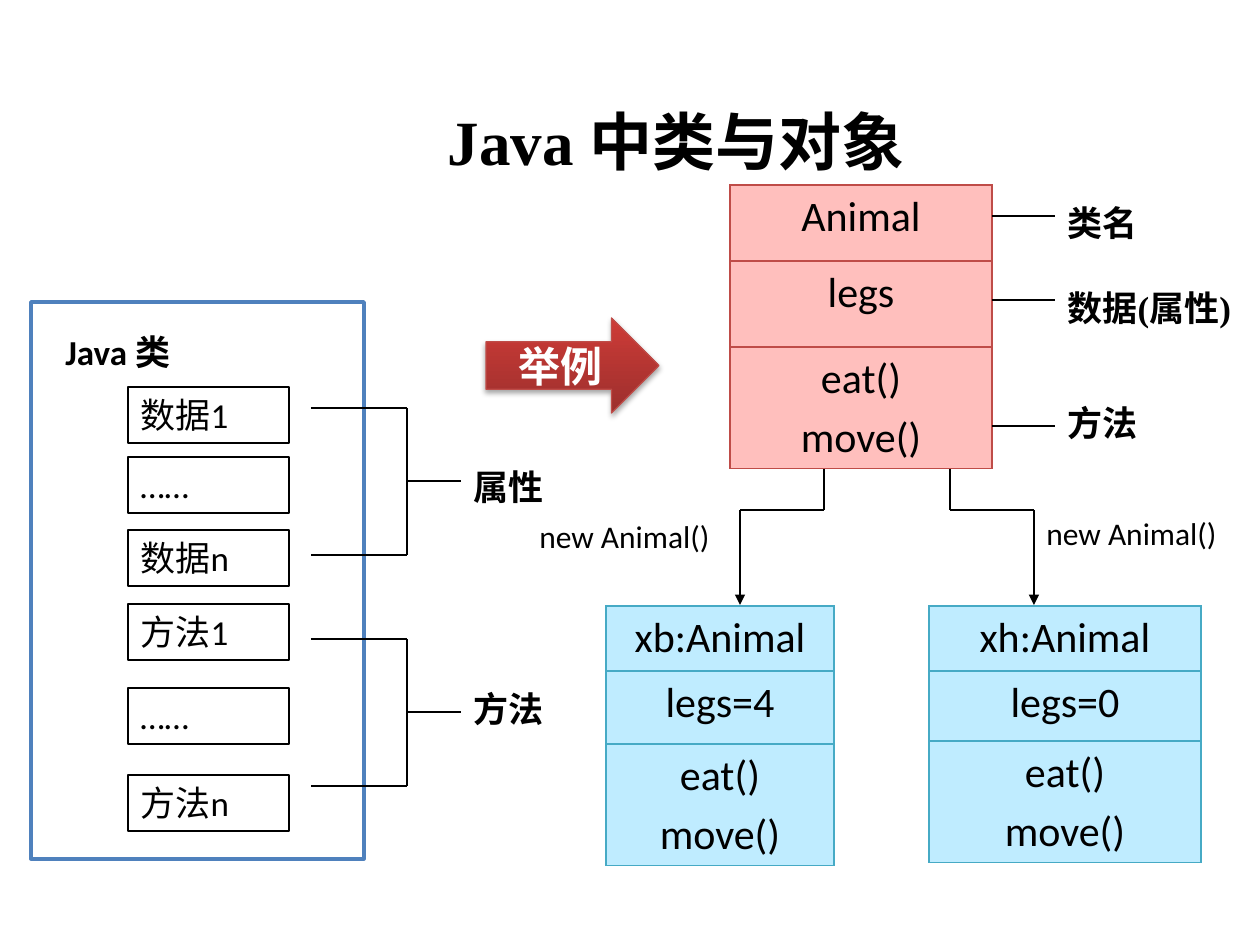
import pptx
import pptx.dml.color
import pptx.enum.shapes
import pptx.enum.text
import pptx.oxml
import pptx.oxml.ns
import pptx.util

PX = 7257  # EMU per px, 126 px to the inch
COLORS = {
    "black": "000000", "white": "FFFFFF", "frame": "4F81BD",
    "pink": "FFBFBD", "red": "BF4C48", "dark_red": "9C2F2D", "bright_red": "CE3B37",
    "sky": "BFECFF", "teal": "46AAC5",
}
RGB = {name: pptx.dml.color.RGBColor.from_string(value) for name, value in COLORS.items()}
SHAPES = pptx.enum.shapes.MSO_SHAPE
ALIGN = pptx.enum.text.PP_ALIGN
ANCHOR = pptx.enum.text.MSO_ANCHOR
A_NS = pptx.oxml.ns.nsdecls("a")


def write_text(frame, text, size=20, font="Calibri", bold=False, color="black",
               align=ALIGN.LEFT, anchor=ANCHOR.TOP):
    frame.word_wrap = True
    frame.vertical_anchor = anchor
    for index, line in enumerate(text.split("\n")):
        paragraph = frame.add_paragraph() if index else frame.paragraphs[0]
        paragraph.alignment = align
        if index:
            paragraph.space_before = pptx.util.Pt(size * 0.2)
        run = paragraph.add_run()
        run.text = line
        run.font.size = pptx.util.Pt(size)
        run.font.name = font
        run.font.bold = bold
        run.font.color.rgb = RGB[color]


def add_path(points, arrow=False):
    """Draw straight connectors through the points, the last with an optional arrowhead."""
    for start, end in zip(points, points[1:]):
        connector = slide.shapes.add_connector(
            pptx.enum.shapes.MSO_CONNECTOR.STRAIGHT, *[PX * v for v in start + end])
        connector.line.color.rgb = RGB["black"]
        connector.line.width = pptx.util.Pt(0.75)
        if arrow and end == points[-1]:
            connector.line._get_or_add_ln().append(
                pptx.oxml.parse_xml(f'<a:tailEnd {A_NS} type="triangle"/>'))
        connector._element.spPr.append(pptx.oxml.parse_xml(f"<a:effectLst {A_NS}/>"))


presentation = pptx.Presentation()
presentation.slide_width = pptx.util.Inches(10)
presentation.slide_height = pptx.util.Inches(7.5)
slide = presentation.slides.add_slide(presentation.slide_layouts[5])

title = slide.shapes.title
title.left, title.top, title.width, title.height = [PX * v for v in (435, 96, 490, 89)]
write_text(title.text_frame, "Java 中类与对象", size=36, font="Times New Roman", bold=True)

# Class frame and its members
class_frame = slide.shapes.add_shape(SHAPES.RECTANGLE, *[PX * v for v in (31, 302, 333, 557)])
class_frame.shadow.inherit = False
class_frame.fill.solid()
class_frame.fill.fore_color.rgb = RGB["white"]
class_frame.line.color.rgb = RGB["frame"]
class_frame.line.width = pptx.util.Pt(2)

members = [("数据1", 387), ("……", 457), ("数据n", 530),
           ("方法1", 604), ("……", 688), ("方法n", 775)]
for text, top in members:
    member = slide.shapes.add_shape(SHAPES.RECTANGLE, *[PX * v for v in (128, top, 161, 56)])
    member.shadow.inherit = False
    member.fill.background()
    member.line.color.rgb = RGB["black"]
    member.line.width = pptx.util.Pt(0.75)
    write_text(member.text_frame, text)

# Brackets that group the members
for top, bottom in [(408, 555), (639, 786)]:
    middle = (top + bottom) // 2
    add_path([(311, top), (407, top), (407, bottom), (311, bottom)])
    add_path([(407, middle), (461, middle)])

# Labels: text, left, top, width, format
bold_calibri = {"bold": True}
bold_times = {"bold": True, "font": "Times New Roman"}
labels = [
    ("Java 类", 53, 324, 237, bold_calibri),
    ("属性", 461, 459, 129, bold_calibri),
    ("方法", 461, 681, 107, bold_calibri),
    ("类名", 1055, 195, 105, bold_times),
    ("数据(属性)", 1055, 280, 210, bold_times),
    ("方法", 1055, 395, 158, bold_times),
    ("new Animal()", 527, 511, 231, {"size": 18}),
    ("new Animal()", 1034, 508, 231, {"size": 18}),
]
for text, left, top, width, style in labels:
    label = slide.shapes.add_textbox(*[PX * v for v in (left, top, width, 54)])
    write_text(label.text_frame, text, **style)

# Class table and object tables: left, top, width, row heights, rows, fill, border
tables = [
    (730, 185, 262, (76, 86, 121), ("Animal", "legs", "eat()\nmove()"), "pink", "red"),
    (606, 606, 228, (65, 73, 121), ("xb:Animal", "legs=4", "eat()\nmove()"), "sky", "teal"),
    (929, 606, 272, (65, 70, 121), ("xh:Animal", "legs=0", "eat()\nmove()"), "sky", "teal"),
]
for left, top, width, heights, texts, fill, border in tables:
    table = slide.shapes.add_table(
        len(texts), 1, *[PX * v for v in (left, top, width, sum(heights))]).table
    table.first_row = False
    table.horz_banding = False
    for row, height, text in zip(table.rows, heights, texts):
        row.height = PX * height
        cell = row.cells[0]
        write_text(cell.text_frame, text, size=24, align=ALIGN.CENTER)
        properties = cell._tc.get_or_add_tcPr()
        for side in ("lnL", "lnR", "lnT", "lnB"):
            properties.append(pptx.oxml.parse_xml(
                f'<a:{side} {A_NS} w="9525"><a:solidFill>'
                f'<a:srgbClr val="{COLORS[border]}"/></a:solidFill></a:{side}>'))
        cell.fill.solid()
        cell.fill.fore_color.rgb = RGB[fill]

# Pointers to the labels, and arrows from the class to its objects
for y in (216, 300, 426):
    add_path([(992, y), (1055, y)])
for start, end in [(824, 740), (950, 1034)]:
    add_path([(start, 469), (start, 510), (end, 510), (end, 605)], arrow=True)

example = slide.shapes.add_shape(SHAPES.RIGHT_ARROW, *[PX * v for v in (486, 318, 173, 95)])
example.fill.gradient()
example.fill.gradient_angle = 90
for stop, color in zip(example.fill.gradient_stops, ("dark_red", "bright_red")):
    stop.color.rgb = RGB[color]
example.line.color.rgb = RGB["red"]
example.line.width = pptx.util.Pt(0.75)
example._element.spPr.append(pptx.oxml.parse_xml(
    f'<a:effectLst {A_NS}><a:outerShdw blurRad="40000" dist="23000" dir="5400000" '
    'rotWithShape="0"><a:srgbClr val="000000"><a:alpha val="35000"/></a:srgbClr>'
    '</a:outerShdw></a:effectLst>'))
write_text(example.text_frame, "举例", size=24, font="Times New Roman", bold=True,
           color="white", align=ALIGN.CENTER, anchor=ANCHOR.MIDDLE)

presentation.save("out.pptx")
